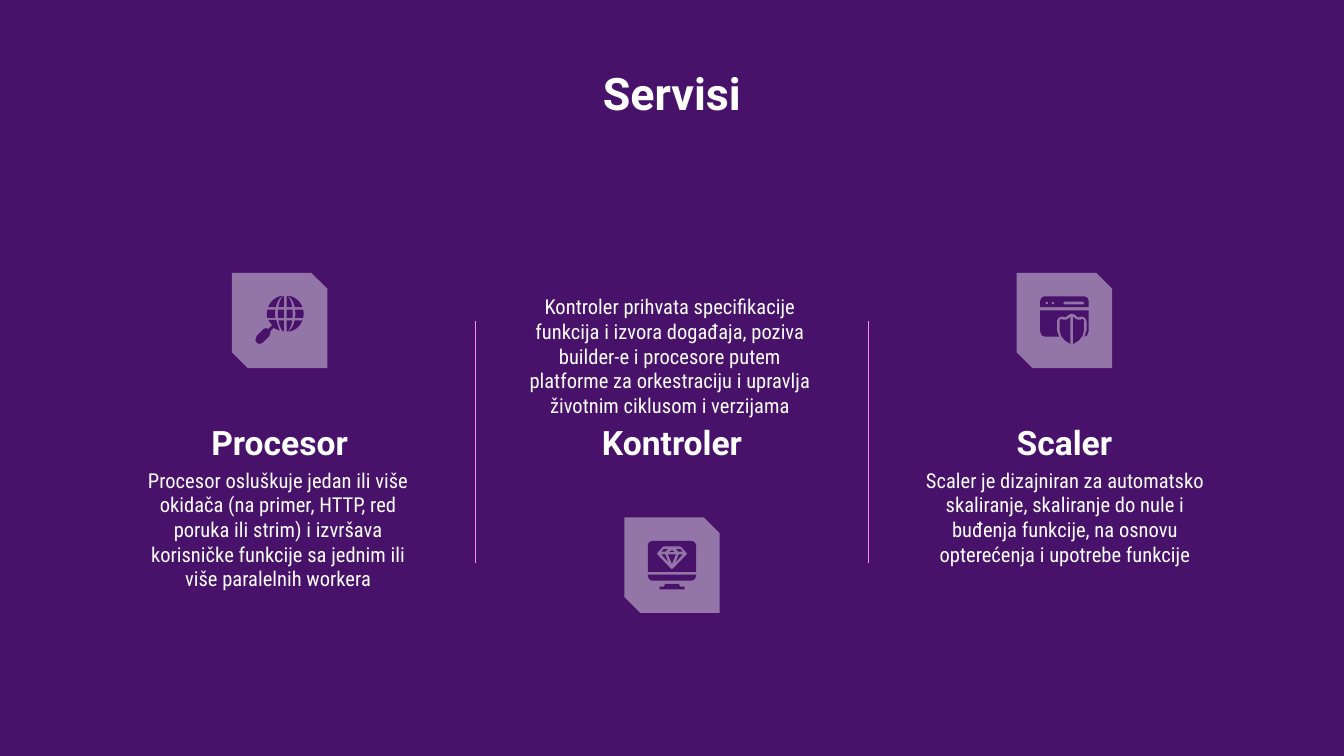
from math import cos, pi, sin, sqrt
from lxml.etree import SubElement
from pptx import Presentation
from pptx.dml.color import RGBColor as RGB
from pptx.enum.shapes import MSO_CONNECTOR as Connector, MSO_SHAPE as Shape
from pptx.enum.text import MSO_ANCHOR as Anchor, PP_ALIGN as Align
from pptx.oxml.ns import qn
from pptx.util import Inches, Pt

THEME = {
    "purple": RGB.from_string("48126A"),
    "white": RGB.from_string("FFFFFF"),
    "pink": RGB.from_string("FF8CFF"),
    "tile_alpha": 42,
    "title": {"name": "Roboto", "size": Pt(24), "bold": True},
    "heading": {"name": "Roboto", "size": Pt(18), "bold": True},
    "body": {"name": "Roboto Condensed", "size": Pt(11), "bold": False},
}

TITLE = "Servisi"
SERVICES = [
    {"name": "Procesor", "icon": "globe", "tile_top": 2.03, "body_box": (0.95, 3.38, 2.24, 1.1),
     "body": "Procesor osluškuje jedan ili više okidača (na primer, HTTP, red poruka ili strim) "
             "i izvršava korisničke funkcije sa jednim ili više paralelnih workera"},
    {"name": "Kontroler", "icon": "monitor", "tile_top": 3.85, "body_box": (3.77, 2.09, 2.43, 1.1),
     "body": "Kontroler prihvata specifikacije funkcija i izvora događaja, poziva builder-e i procesore "
             "putem platforme za orkestraciju i upravlja životnim ciklusom i verzijama"},
    {"name": "Scaler", "icon": "browser", "tile_top": 2.03, "body_box": (6.71, 3.38, 2.43, 1.1),
     "body": "Scaler je dizajniran za automatsko skaliranje, skaliranje do nule i buđenja funkcije, "
             "na osnovu opterećenja i upotrebe funkcije"},
]
SLIDE_WIDTH = Inches(10)
SLIDE_HEIGHT = SLIDE_WIDTH * 9 // 16
COLUMN_LEFT, COLUMN_WIDTH = 0.62, 2.92
TILE_SIZE, ICON_SIZE, ICON_UNIT = 0.71, 0.36, 0.01


def mirror(half, axis):
    return [(2 * axis - x, y) for x, y in half]


def symmetric(half, axis=18):
    """Close a left half outline with its reflection."""
    return half + mirror(half, axis)[::-1]


def dot(x, y, radius=1):
    return [(x + radius * cos(k * pi / 6), y + radius * sin(k * pi / 6)) for k in range(12)]


def globe_icon():
    """Panels lie between meridians (ellipses of falling width) in three bands."""
    center_x, center_y, radius = 22.3, 13, 13.7
    bands = [(-13.2, -5), (-3, 3), (5, 13.2)]
    meridians = [(13.7, 7.5), (5.5, 1)]

    def arc(half_width, band):
        steps = [band[0] + (band[1] - band[0]) * k / 8 for k in range(9)]
        return [(center_x - half_width * (sqrt(1 - (y / radius) ** 2) if half_width > 1 else 1),
                 center_y + y) for y in steps]

    handle = [(9.5, 17.5), (12.5, 21.5), (9.5, 24.5), (8, 23.5), (6, 24.5), (1, 29.5),
              (0, 32.5), (1, 34.5), (3, 35.5), (5.5, 34.5), (10.5, 29.5), (11.5, 25.5),
              (13.5, 23.5), (18, 25.5), (15.5, 17.5)]
    parts = [[handle]]
    for band in bands:
        for outer, inner in meridians:
            panel = arc(outer, band) + arc(inner, band)[::-1]
            parts.append([mirror(panel, center_x)])
            if (band, outer) != (bands[-1], radius):  # the handle fills this corner
                parts.append([panel])
    return parts


def monitor_icon():
    screen = symmetric([(0, 23), (0, 3), (1, 1), (3, 0)])
    gem = symmetric([(18, 21), (17, 20.5), (7, 10), (7, 9), (11, 4.5), (12, 4)])
    chin = symmetric([(0, 25), (0, 26), (1, 28.5), (3, 29.5)])
    stand = symmetric([(13, 32), (12, 34), (9, 34), (8.5, 35), (9, 36)])
    crown_facet = [(12, 6), (10, 8), (13, 8), (15, 6)]
    side_facet = [(10, 10), (15, 15.5), (13, 10)]
    facets = [crown_facet, side_facet, mirror(crown_facet, 18), mirror(side_facet, 18),
              [(18, 7), (16, 8.2), (20, 8.2)], [(15, 10), (18, 17), (21, 10)]]
    return [[screen, gem], [chin], [stand]] + [[facet] for facet in facets]


def browser_icon():
    axis = 23.5
    header = symmetric([(0, 8), (0, 3), (1, 1), (3, 0)])
    slot = [(18, 4), (32, 4), (33, 5), (32, 6), (18, 6), (17, 5)]
    notch = symmetric([(14, 30), (12.5, 25.5), (12.5, 18.5), (13.5, 16), (16, 15),
                       (19, 15.5), (21.5, 13.5), (23.5, 12.8)], axis)
    page = [(0, 10.5), (0, 26), (1, 29), (3.5, 30)] + notch + [(35, 29), (36, 26), (36, 10.5)]
    shield = [(22.5, 15.5), (19.5, 17.5), (17, 17.5), (15.5, 16.8), (14.5, 18),
              (14.5, 25.5), (15.5, 29.5), (18.5, 33), (22.5, 35.5)]
    return [[header, dot(5, 5), dot(9.5, 5), slot], [page], [shield], [mirror(shield, axis)]]


ICONS = {"globe": globe_icon, "monitor": monitor_icon, "browser": browser_icon}


def paint(shape, color):
    shape.shadow.inherit = False
    shape.fill.solid()
    shape.fill.fore_color.rgb = color
    shape.line.fill.background()


def add_text(slide, text, box, style, anchor=Anchor.TOP):
    frame = slide.shapes.add_textbox(*map(Inches, box)).text_frame
    margins = {f"margin_{side}": Inches(0.1) for side in ("left", "top", "right", "bottom")}
    for key, value in {**margins, "word_wrap": True, "vertical_anchor": anchor}.items():
        setattr(frame, key, value)
    paragraph = frame.paragraphs[0]
    paragraph.alignment = Align.CENTER
    run = paragraph.add_run()
    run.text = text
    for key, value in THEME[style].items():
        setattr(run.font, key, value)
    run.font.color.rgb = THEME["white"]


def add_divider(slide, x):
    divider = slide.shapes.add_connector(
        Connector.STRAIGHT, Inches(x), Inches(2.39), Inches(x), Inches(4.19))
    divider.line.color.rgb = THEME["pink"]
    divider.line.width = Pt(0.75)
    SubElement(divider._element.spPr, qn("a:effectLst"))


def add_tile(slide, left, top):
    tile = slide.shapes.add_shape(Shape.SNIP_2_DIAG_RECTANGLE, *map(Inches, (left, top, TILE_SIZE, TILE_SIZE)))
    tile.adjustments[0], tile.adjustments[1] = 0, 0.167
    paint(tile, THEME["white"])
    color = tile._element.spPr.find(qn("a:solidFill"))[0]
    SubElement(color, qn("a:alpha"), val=str(THEME["tile_alpha"] * 1000))


def add_icon(slide, parts, left, top):
    """Draw each part as one freeform; contours after the first are holes."""
    for contours in parts:
        outlines = [[(Inches(left + x * ICON_UNIT), Inches(top + y * ICON_UNIT)) for x, y in contour]
                    for contour in contours]
        builder = slide.shapes.build_freeform(*outlines[0][0])
        builder.add_line_segments(outlines[0][1:], close=True)
        for hole in outlines[1:]:
            builder.move_to(*hole[0])
            builder.add_line_segments(hole[1:], close=True)
        paint(builder.convert_to_shape(), THEME["purple"])


def main():
    deck = Presentation()
    deck.slide_width, deck.slide_height = SLIDE_WIDTH, SLIDE_HEIGHT
    slide = deck.slides.add_slide(deck.slide_layouts[6])
    slide.background.fill.solid()
    slide.background.fill.fore_color.rgb = THEME["purple"]

    add_text(slide, TITLE, (2.15, 0.39, 5.7, 1.03), "title")
    for column, service in enumerate(SERVICES):
        left = COLUMN_LEFT + column * COLUMN_WIDTH
        add_text(slide, service["name"], (left, 3.07, COLUMN_WIDTH, 0.47), "heading", Anchor.BOTTOM)
        add_text(slide, service["body"], service["body_box"], "body")
        if column:
            add_divider(slide, left)
        tile_left = left + (COLUMN_WIDTH - TILE_SIZE) / 2
        add_tile(slide, tile_left, service["tile_top"])
        inset = (TILE_SIZE - ICON_SIZE) / 2
        add_icon(slide, ICONS[service["icon"]](), tile_left + inset, service["tile_top"] + inset)
    deck.save("out.pptx")


if __name__ == "__main__":
    main()
